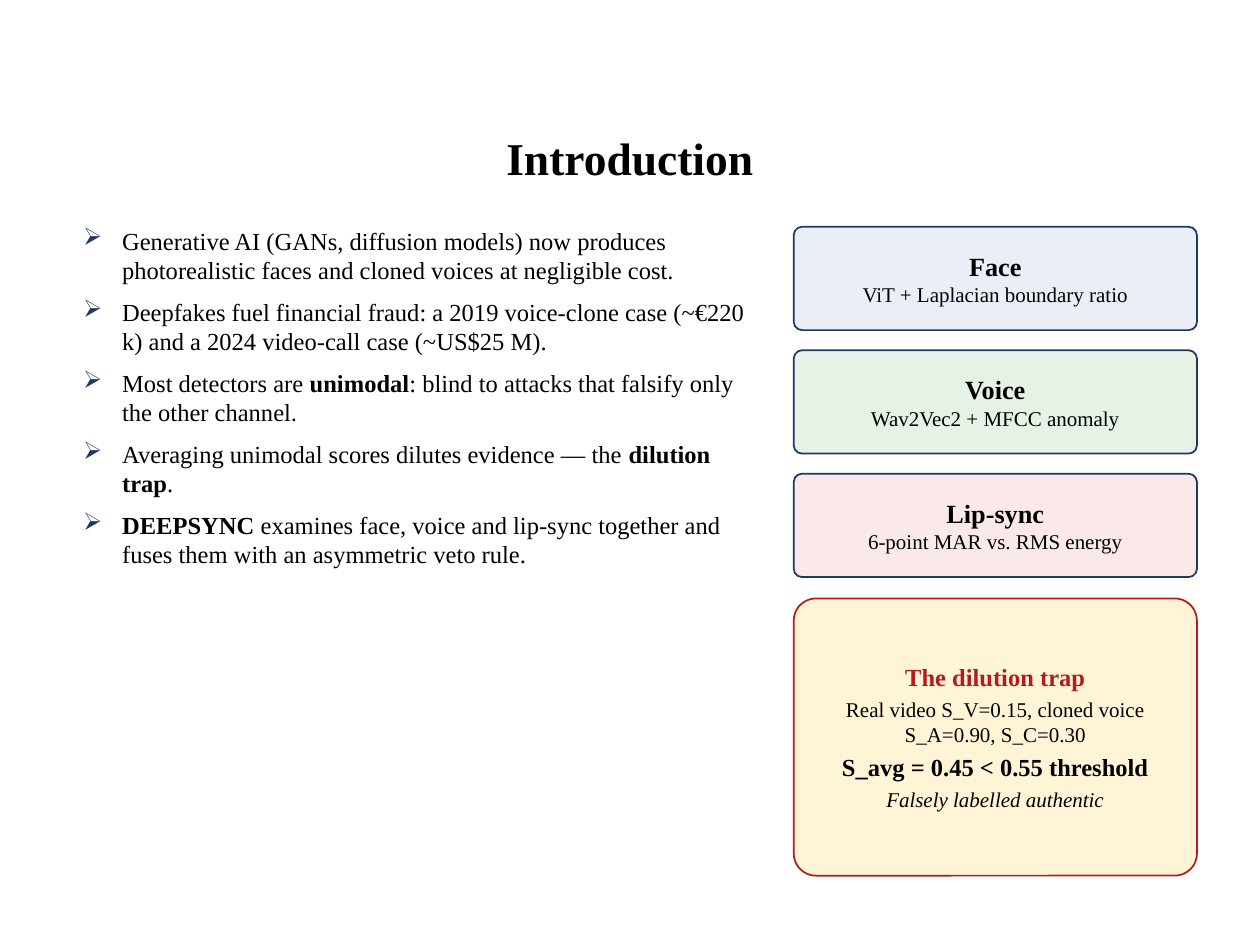
from lxml import etree
from pptx import Presentation
from pptx.dml.color import RGBColor
from pptx.enum import shapes, text
from pptx.oxml.ns import qn
from pptx.util import Inches, Pt

FONT = "Times New Roman"
BLACK = RGBColor(0x00, 0x00, 0x00)
NAVY = RGBColor(0x1F, 0x38, 0x64)
RED = RGBColor(0xB3, 0x1B, 0x1F)
BLUE_TINT = RGBColor(0xE9, 0xEE, 0xF7)
GREEN_TINT = RGBColor(0xE6, 0xF2, 0xE6)
RED_TINT = RGBColor(0xFB, 0xE9, 0xE9)
YELLOW_TINT = RGBColor(0xFF, 0xF4, 0xD6)

TITLE = "Introduction"
# Each bullet is a list of (text, bold) pieces.
BULLETS = [
    [("Generative AI (GANs, diffusion models) now produces photorealistic faces "
      "and cloned voices at negligible cost.", False)],
    [("Deepfakes fuel financial fraud: a 2019 voice-clone case (~€220 k) "
      "and a 2024 video-call case (~US$25 M).", False)],
    [("Most detectors are ", False), ("unimodal", True),
     (": blind to attacks that falsify only the other channel.", False)],
    [("Averaging unimodal scores dilutes evidence — the ", False),
     ("dilution trap", True), (".", False)],
    [("DEEPSYNC", True), (" examines face, voice and lip-sync together and fuses "
                          "them with an asymmetric veto rule.", False)],
]
CHANNELS = [
    ("Face", "ViT + Laplacian boundary ratio", BLUE_TINT),
    ("Voice", "Wav2Vec2 + MFCC anomaly", GREEN_TINT),
    ("Lip-sync", "6-point MAR vs. RMS energy", RED_TINT),
]
TRAP = [
    ("The dilution trap", dict(size=14, bold=True, color=RED)),
    ("Real video S_V=0.15, cloned voice S_A=0.90, S_C=0.30", dict(size=12)),
    ("S_avg = 0.45 < 0.55 threshold", dict(size=14, bold=True)),
    ("Falsely labelled authentic", dict(size=12, italic=True)),
]

CARD_LEFT, CARD_TOP, CARD_W, CARD_H, CARD_PITCH = 6.3, 1.8, 3.2, 0.82, 0.98
TRAP_TOP, TRAP_H = 4.75, 2.2


def add_run(p, content, size=14, bold=False, italic=False, color=BLACK):
    r = p.add_run()
    r.text = content
    r.font.name = FONT
    r.font.size = Pt(size)
    r.font.bold = bold
    r.font.italic = italic
    r.font.color.rgb = color


def paragraphs(tf, count, space_after=0, align=None):
    """Yield count paragraphs of a frame, spaced apart except after the last."""
    for i in range(count):
        p = tf.add_paragraph() if i else tf.paragraphs[0]
        p.alignment = align
        if i < count - 1:
            p.space_after = Pt(space_after)
        yield p


def set_insets(tf, side, top):
    tf.margin_left = tf.margin_right = Inches(side)
    tf.margin_top = tf.margin_bottom = Inches(top)


def add_textbox(s, *box):
    tf = s.shapes.add_textbox(*map(Inches, box)).text_frame
    tf.word_wrap = True
    tf.auto_size = text.MSO_AUTO_SIZE.SHAPE_TO_FIT_TEXT
    return tf


def add_bullet(p, char="➢", indent=0.31):
    pPr = p._p.get_or_add_pPr()
    pPr.set("marL", str(Inches(indent)))
    pPr.set("indent", str(-Inches(indent)))
    color = etree.SubElement(pPr, qn("a:buClr"))
    etree.SubElement(color, qn("a:srgbClr")).set("val", str(NAVY))
    etree.SubElement(pPr, qn("a:buChar")).set("char", char)


def add_card(s, top, height, fill, line, lines, space_after=0):
    sp = s.shapes.add_shape(shapes.MSO_SHAPE.ROUNDED_RECTANGLE, Inches(CARD_LEFT),
                            Inches(top), Inches(CARD_W), Inches(height))
    sp.adjustments[0] = 0.08
    sp.shadow.inherit = False
    sp.fill.solid()
    sp.fill.fore_color.rgb = fill
    sp.line.color.rgb = line
    sp.line.width = Pt(1)
    tf = sp.text_frame
    tf.word_wrap = True
    tf.vertical_anchor = text.MSO_ANCHOR.MIDDLE
    set_insets(tf, 0.08, 0.04)
    rows = paragraphs(tf, len(lines), space_after, text.PP_ALIGN.CENTER)
    for p, (content, style) in zip(rows, lines):
        add_run(p, content, **style)


def main():
    prs = Presentation()
    prs.slide_width, prs.slide_height = Inches(10), Inches(7.5)
    s = prs.slides.add_slide(prs.slide_layouts[6])

    title = add_textbox(s, 0.8, 0.98, 8.4, 0.55).paragraphs[0]
    title.alignment = text.PP_ALIGN.CENTER
    add_run(title, TITLE, size=26, bold=True)

    body = add_textbox(s, 0.6, 1.75, 5.4, 5.3)
    set_insets(body, 0.06, 0.04)
    for p, pieces in zip(paragraphs(body, len(BULLETS), space_after=7), BULLETS):
        add_bullet(p)
        for content, bold in pieces:
            add_run(p, content, bold=bold)

    for i, (name, method, fill) in enumerate(CHANNELS):
        add_card(s, CARD_TOP + i * CARD_PITCH, CARD_H, fill, NAVY,
                 [(name, dict(size=15, bold=True)), (method, dict(size=12))])
    add_card(s, TRAP_TOP, TRAP_H, YELLOW_TINT, RED, TRAP, space_after=3)

    prs.save("out.pptx")


if __name__ == "__main__":
    main()
